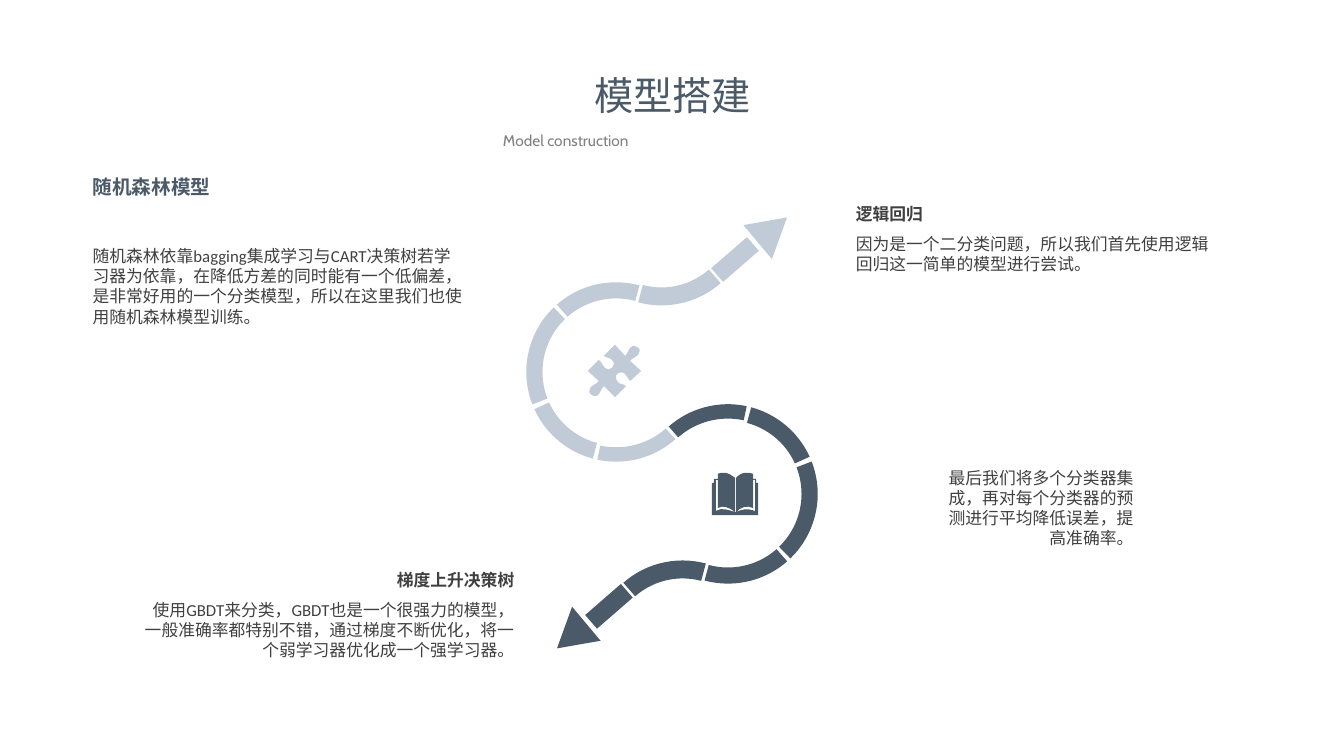
from dataclasses import dataclass
from typing import Optional

from lxml.etree import SubElement
from pptx import Presentation
from pptx.dml.color import RGBColor
from pptx.enum.shapes import MSO_SHAPE
from pptx.enum.text import MSO_ANCHOR, MSO_AUTO_SIZE, PP_ALIGN
from pptx.oxml.ns import qn
from pptx.shapes.base import BaseShape
from pptx.slide import Slide
from pptx.util import Inches, Pt

SLIDE_WIDTH, SLIDE_HEIGHT = 13.33, 7.5
# Twice the centre of the two-part ribbon, for turning it half round.
RIBBON_SPAN_X, RIBBON_SPAN_Y = 13.33, 8.59

Outline = list[tuple[float, ...]]


@dataclass(frozen=True)
class Theme:
    dark: str = "4A5A69"
    light: str = "C1CBD7"
    body: str = "404040"
    muted: str = "808080"
    body_font: str = "Calibri"
    subtitle_font: str = "Cabin"
    chinese_font: str = "Noto Sans CJK SC"
    title_size: float = 28
    heading_size: float = 14
    body_size: float = 12
    subtitle_size: float = 11


THEME = Theme()


@dataclass(frozen=True)
class TextBlock:
    text: str
    left: float
    top: float
    width: float
    height: float
    align: PP_ALIGN = PP_ALIGN.LEFT
    size: float = THEME.body_size
    color: str = THEME.body
    font: str = THEME.body_font
    bold: bool = False
    wrap: bool = True
    line_spacing: Optional[float] = None


@dataclass(frozen=True)
class RibbonPart:
    kind: MSO_SHAPE
    left: float
    top: float
    width: float
    height: float
    rotation: float
    adjustments: tuple[float, ...] = ()


TITLE = TextBlock("模型搭建", 5.79, 0.66, 1.76, 0.57, PP_ALIGN.CENTER,
                  THEME.title_size, THEME.dark, THEME.chinese_font, wrap=False)
SUBTITLE = TextBlock("Model construction", 4.89, 1.16, 3.55, 0.38, PP_ALIGN.JUSTIFY,
                     THEME.subtitle_size, THEME.muted, THEME.subtitle_font, line_spacing=1.5)
LOGISTIC_REGRESSION = [
    TextBlock("因为是一个二分类问题，所以我们首先使用逻辑回归这一简单的模型进行尝试。",
              8.39, 2.27, 3.86, 0.5),
    TextBlock("逻辑回归", 8.39, 1.97, 3.87, 0.3, bold=True),
]
BOOSTED_TREES = [
    TextBlock("使用GBDT来分类，GBDT也是一个很强力的模型，一般准确率都特别不错，"
              "通过梯度不断优化，将一个弱学习器优化成一个强学习器。",
              1.29, 5.9, 3.91, 0.71, PP_ALIGN.RIGHT),
    TextBlock("梯度上升决策树", 1.29, 5.6, 3.91, 0.3, PP_ALIGN.RIGHT, bold=True),
]
FOREST_AND_ENSEMBLE = [
    TextBlock("随机森林依靠bagging集成学习与CART决策树若学习器为依靠，在降低方差的同时能有一个"
              "低偏差，是非常好用的一个分类模型，所以在这里我们也使用随机森林模型训练。",
              0.82, 2.39, 3.91, 0.91),
    TextBlock("随机森林模型", 0.82, 1.69, 3.91, 0.34,
              size=THEME.heading_size, color=THEME.dark, bold=True),
    TextBlock("最后我们将多个分类器集成，再对每个分类器的预测进行平均降低误差，提高准确率。",
              9.25, 4.59, 2.09, 0.91, PP_ALIGN.RIGHT),
]


def arc(left: float, top: float, rotation: float, *adjustments: float) -> RibbonPart:
    return RibbonPart(MSO_SHAPE.BLOCK_ARC, left, top, 1.78, 1.78, rotation, adjustments)


RIBBON = [
    arc(5.22, 2.8, 285, 140.29, 180.58, 0.09),
    arc(5.22, 2.8, 285, 182.21, 0.07, 0.09),
    arc(5.22, 2.8, 285, 108, 138.3, 0.09),
    arc(5.22, 2.8, 105, 182.21, 214.26, 0.08),
    arc(5.67, 1.25, 105, 182.21, 0.02, 0.1),
    RibbonPart(MSO_SHAPE.RECTANGLE, 7.2, 2.34, 0.18, 0.47, 49),
    RibbonPart(MSO_SHAPE.ISOSCELES_TRIANGLE, 7.44, 2.09, 0.44, 0.38, 50),
]

# Icon outlines: a pair is a straight step, six numbers are a cubic curve.
PUZZLE: Outline = [
    (6.33, 3.45), (6.35, 3.46, 6.35, 3.5, 6.33, 3.52), (6.31, 3.55, 6.28, 3.54, 6.25, 3.58),
    (6.36, 3.68), (6.25, 3.78), (6.22, 3.76, 6.23, 3.73, 6.2, 3.71),
    (6.18, 3.69, 6.14, 3.69, 6.12, 3.71), (6.11, 3.72, 6.1, 3.76, 6.13, 3.79),
    (6.16, 3.82, 6.17, 3.8, 6.21, 3.83), (6.1, 3.94), (5.99, 3.83),
    (5.95, 3.87, 5.97, 3.88, 5.94, 3.91), (5.92, 3.94, 5.88, 3.93, 5.86, 3.91),
    (5.84, 3.9, 5.84, 3.86, 5.86, 3.84), (5.88, 3.81, 5.91, 3.82, 5.94, 3.78),
    (5.83, 3.68), (5.94, 3.57), (5.98, 3.6, 5.97, 3.63, 6, 3.65),
    (6.02, 3.67, 6.05, 3.67, 6.07, 3.65), (6.09, 3.63, 6.1, 3.6, 6.07, 3.57),
    (6.04, 3.54, 6.03, 3.56, 5.99, 3.53), (6.1, 3.42), (6.2, 3.53),
    (6.24, 3.49, 6.22, 3.48, 6.25, 3.45), (6.28, 3.42, 6.31, 3.43, 6.33, 3.45),
]
BOOK: Outline = [
    (7.29, 5.08), (7.3, 5.08), (7.37, 5.05, 7.41, 5.04, 7.49, 5.07), (7.49, 4.76),
    (7.47, 4.76), (7.47, 4.85, 7.47, 4.94, 7.47, 5.04), (7.41, 5.01, 7.35, 5.03, 7.3, 5.08),
    (7.3, 4.76), (7.3, 4.74), (7.33, 4.71, 7.36, 4.69, 7.4, 4.69),
    (7.42, 4.69, 7.44, 4.69, 7.47, 4.7), (7.47, 4.71, 7.47, 4.73, 7.47, 4.75),
    (7.5, 4.75), (7.5, 4.79), (7.52, 4.79), (7.52, 5.11), (7.06, 5.11), (7.06, 4.79),
    (7.08, 4.79), (7.08, 4.75), (7.12, 4.75), (7.12, 4.73, 7.12, 4.71, 7.12, 4.7),
    (7.14, 4.69, 7.16, 4.69, 7.18, 4.69), (7.22, 4.69, 7.25, 4.71, 7.29, 4.74),
    (7.29, 4.76), (7.29, 5.08), (7.23, 5.03, 7.17, 5.01, 7.12, 5.04), (7.12, 4.76),
    (7.1, 4.76), (7.1, 5.07), (7.17, 5.03, 7.22, 5.06, 7.29, 5.08),
]


def paint(shape: BaseShape, color: str) -> None:
    shape.shadow.inherit = False
    shape.fill.solid()
    shape.fill.fore_color.rgb = RGBColor.from_string(color)
    shape.line.fill.background()


def write_text(shape: BaseShape, block: TextBlock) -> None:
    shape.left, shape.top = Inches(block.left), Inches(block.top)
    shape.width, shape.height = Inches(block.width), Inches(block.height)
    frame = shape.text_frame
    frame.word_wrap = block.wrap
    frame.auto_size = MSO_AUTO_SIZE.SHAPE_TO_FIT_TEXT
    frame.vertical_anchor = MSO_ANCHOR.TOP
    paragraph = frame.paragraphs[0]
    paragraph.alignment = block.align
    if block.line_spacing:
        paragraph.line_spacing = block.line_spacing
    run = paragraph.add_run()
    run.text = block.text
    run.font.size = Pt(block.size)
    run.font.bold = block.bold
    run.font.name = block.font
    run.font.color.rgb = RGBColor.from_string(block.color)
    SubElement(run.font._element, qn("a:ea"), typeface=THEME.chinese_font)


def add_texts(slide: Slide, blocks: list[TextBlock], grouped: bool = False) -> None:
    shapes = slide.shapes.add_group_shape().shapes if grouped else slide.shapes
    for block in blocks:
        box = shapes.add_textbox(Inches(block.left), Inches(block.top),
                                 Inches(block.width), Inches(block.height))
        write_text(box, block)


def add_ribbon(slide: Slide, color: str, turned: bool = False) -> None:
    """Draw the arrow ribbon, optionally turned half round the ribbon centre."""
    group = slide.shapes.add_group_shape()
    for part in RIBBON:
        left, top, rotation = part.left, part.top, part.rotation
        if turned:
            left = RIBBON_SPAN_X - left - part.width
            top = RIBBON_SPAN_Y - top - part.height
            rotation = (rotation + 180) % 360
        shape = group.shapes.add_shape(part.kind, Inches(left), Inches(top),
                                       Inches(part.width), Inches(part.height))
        shape.rotation = rotation
        for index, value in enumerate(part.adjustments):
            shape.adjustments[index] = value
        paint(shape, color)


def add_icon(slide: Slide, outline: Outline, color: str) -> None:
    """Build the outline from step ends, then bend the curved steps."""
    ends = [(Inches(step[-2]), Inches(step[-1])) for step in outline]
    builder = slide.shapes.build_freeform(*ends[0])
    builder.add_line_segments(ends[1:], close=True)
    shape = builder.convert_to_shape()
    lines = list(shape._element.iter(qn("a:lnTo")))
    for line, step in zip(lines, outline[1:]):
        if len(step) == 6:
            line.tag = qn("a:cubicBezTo")
            for index, (x, y) in enumerate((step[0:2], step[2:4])):
                control = SubElement(line, qn("a:pt"), x=str(Inches(x) - shape.left),
                                     y=str(Inches(y) - shape.top))
                line.insert(index, control)
    paint(shape, color)


def main() -> None:
    presentation = Presentation()
    presentation.slide_width = Inches(SLIDE_WIDTH)
    presentation.slide_height = Inches(SLIDE_HEIGHT)
    slide = presentation.slides.add_slide(presentation.slide_layouts[5])
    write_text(slide.shapes.title, TITLE)
    add_texts(slide, [SUBTITLE])
    add_texts(slide, LOGISTIC_REGRESSION, grouped=True)
    add_texts(slide, BOOSTED_TREES, grouped=True)
    add_icon(slide, PUZZLE, THEME.light)
    add_icon(slide, BOOK, THEME.dark)
    add_ribbon(slide, THEME.light)
    add_ribbon(slide, THEME.dark, turned=True)
    add_texts(slide, FOREST_AND_ENSEMBLE)
    presentation.save("out.pptx")


if __name__ == "__main__":
    main()
